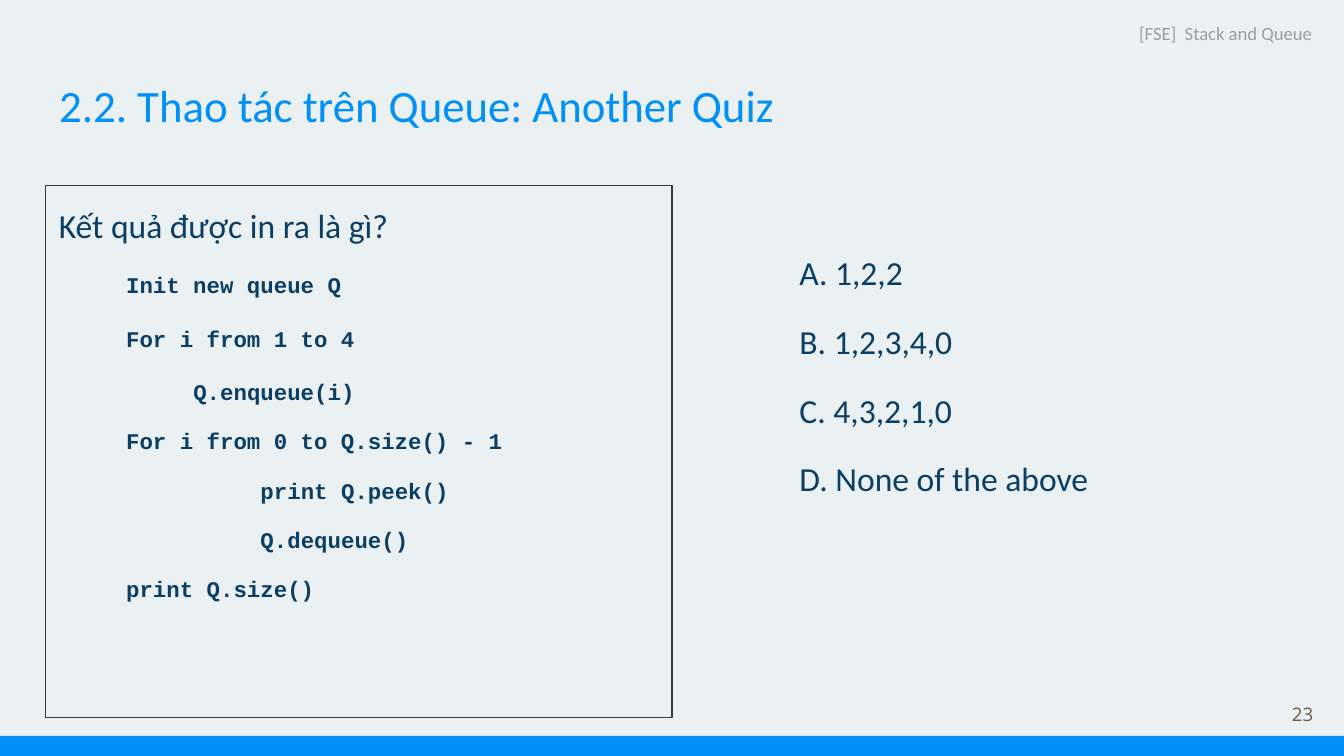
"""Build the queue quiz slide with its code box and answer list."""
from pptx import Presentation, util as u
from pptx.dml.color import RGBColor
from pptx.enum import shapes, text

WIDE = 10
HIGH = WIDE * 9 / 16
BLUE, NAVY = "0090F8", "0B3E64"
TITLE = "2.2. Thao tác trên Queue: Another Quiz"
ASK = "Kết quả được in ra là gì?"
CODE = [
    ("Init new queue Q", 0.5, 1.15),
    ("For i from 1 to 4", 0.5, 1.15),
    ("Q.enqueue(i)", 1, 1.15),
    ("For i from 0 to Q.size() - 1", 0.5, 1),
    ("print Q.peek()", 1.5, 1),
    ("Q.dequeue()", 1.5, 1),
    ("print Q.size()", 0.5, 1),
]
PICKS = ["A. 1,2,2", "B. 1,2,3,4,0", "C. 4,3,2,1,0", "D. None of the above"]
BODY = {"name": "Calibri", "size": u.Pt(18), "color": NAVY}
MONO = {"name": "Courier New", "size": u.Pt(12), "bold": True, "color": NAVY}
HEAD = {"name": "Calibri", "size": u.Pt(24), "color": BLUE}
NOTE = {"name": "Calibri", "size": u.Pt(10), "color": "9E9E9E"}
PAGE = {"name": "Open Sans", "size": u.Pt(10), "color": "695D46"}
LEFT, RIGHT = text.PP_ALIGN.LEFT, text.PP_ALIGN.RIGHT
TOP, MID = text.MSO_ANCHOR.TOP, text.MSO_ANCHOR.MIDDLE


def paint(target, code):
    """Give a fill, font or line colour from a hex string."""
    target.rgb = RGBColor.from_string(code)


def place(shape, box):
    """Set the place and size of a shape in inches."""
    for name, value in zip(("left", "top", "width", "height"), box):
        setattr(shape, name, u.Inches(value))


def write(shape, rows, align=LEFT, anchor=TOP):
    """Write rows of words, indent, line spacing and font format."""
    frame = shape.text_frame
    look = {"word_wrap": True, "auto_size": text.MSO_AUTO_SIZE.NONE,
            "vertical_anchor": anchor}
    look.update({f"margin_{side}": u.Inches(0.1)
                 for side in ("left", "top", "right", "bottom")})
    for name, value in look.items():
        setattr(frame, name, value)
    for i, (words, indent, space, font) in enumerate(rows):
        para = frame.add_paragraph() if i else frame.paragraphs[0]
        para.alignment, para.line_spacing = align, space
        para.space_before = u.Pt(12 if i else 0)
        props = para._p.get_or_add_pPr()
        props.set("marL", str(u.Inches(indent)))
        props.set("indent", "0")
        run = para.add_run()
        run.text = words
        for name, value in font.items():
            if name == "color":
                paint(run.font.color, value)
            else:
                setattr(run.font, name, value)


def block(slide, box, fill=None, line=None):
    """Add a plain rectangle."""
    shape = slide.shapes.add_shape(
        shapes.MSO_SHAPE.RECTANGLE, *map(u.Inches, box))
    shape.shadow.inherit = False
    for part, code in ((shape.fill, fill), (shape.line.fill, line)):
        if code:
            part.solid()
            paint(part.fore_color, code)
        else:
            part.background()
    return shape


def label(slide, box, rows, **look):
    """Add a text box."""
    write(slide.shapes.add_textbox(*map(u.Inches, box)), rows, **look)


def main():
    """Build and save the slide."""
    deck = Presentation()
    deck.slide_width, deck.slide_height = u.Inches(WIDE), u.Inches(HIGH)
    slide = deck.slides.add_slide(deck.slide_layouts[5])
    slide.background.fill.solid()
    paint(slide.background.fill.fore_color, "EBF0F3")

    title = slide.shapes.title
    place(title, (0.34, 0.48, 9.32, 0.77))
    write(title, [(TITLE, 0, 1, HEAD)])

    quiz = block(slide, (0.34, 1.38, 4.66, 3.96), line="2D3B45")
    quiz.line.width = u.Pt(0.75)
    write(quiz, [(ASK, 0, 1.15, BODY)] + [(*row, MONO) for row in CODE])

    block(slide, (0, HIGH - 0.15, WIDE, 0.15), fill=BLUE)
    label(slide, (9.27, 5.1, 0.6, 0.43), [("23", 0, 1, PAGE)],
          align=RIGHT, anchor=MID)
    label(slide, (7.88, 0.06, 1.98, 0.37),
          [("[FSE]  Stack and Queue", 0, 1, NOTE)], align=RIGHT)
    label(slide, (5.85, 1.73, 3.35, 3.61),
          [(pick, 0, 1.15, BODY) for pick in PICKS])
    deck.save("out.pptx")


if __name__ == "__main__":
    main()
